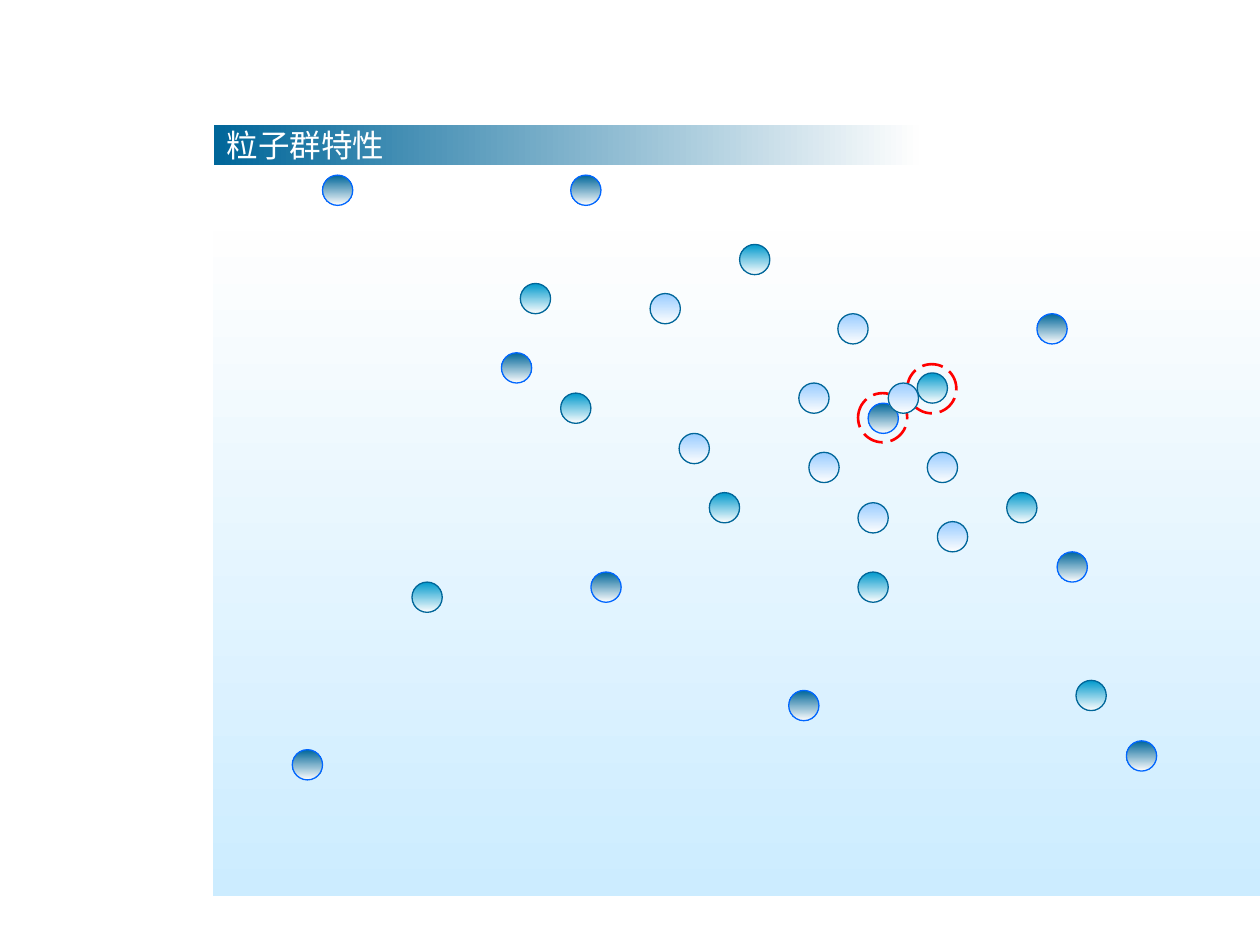
from dataclasses import dataclass

from pptx import Presentation
from pptx import util as u
from pptx.dml.color import RGBColor
from pptx.enum import dml, shapes, text

PX = 9144
DOT, RING = 24, 39


@dataclass(frozen=True)
class Theme:
    white: str = "FFFFFF"
    pale: str = "FEFEFE"
    sky: str = "CCECFF"
    navy: str = "006699"
    blue: str = "0066FF"
    teal: str = "0099CC"
    light: str = "99CCFF"
    red: str = "FF0000"
    font: str = "Montserrat"
    title_size: int = 18
    thin: float = 0.75
    thick: float = 1.5


class Painter:
    def __init__(self, slide, theme):
        self.slide = slide
        self.theme = theme

    def assign(self, target, values):
        for name, value in values.items():
            setattr(target, name, value)

    def shape(self, kind, box):
        item = self.slide.shapes.add_shape(kind, *(length * PX for length in box))
        item.shadow.inherit = False
        return item

    def shade(self, item, colors, angle):
        item.fill.gradient()
        item.fill.gradient_angle = angle
        for stop, color in zip(item.fill.gradient_stops, colors):
            stop.color.rgb = RGBColor.from_string(color)

    def outline(self, item, color, width):
        item.line.color.rgb = RGBColor.from_string(color)
        item.line.width = u.Pt(width)

    def panel(self, box, colors, angle):
        item = self.shape(shapes.MSO_SHAPE.RECTANGLE, box)
        self.shade(item, colors, angle)
        item.line.fill.background()
        return item

    def banner(self, box, wording):
        frame = self.panel(box, (self.theme.pale, self.theme.navy), 180).text_frame
        self.assign(frame, {
            "word_wrap": True,
            "vertical_anchor": text.MSO_ANCHOR.MIDDLE,
            "margin_left": 10 * PX,
            "margin_right": 10 * PX,
            "margin_top": 5 * PX,
            "margin_bottom": 5 * PX,
        })
        heading = frame.paragraphs[0]
        heading.alignment = text.PP_ALIGN.LEFT
        run = heading.add_run()
        run.text = wording
        self.assign(run.font, {"name": self.theme.font, "size": u.Pt(self.theme.title_size)})
        run.font.color.rgb = RGBColor.from_string(self.theme.white)

    def particles(self, spots, color, edge):
        for left, top in spots:
            item = self.shape(shapes.MSO_SHAPE.OVAL, (left, top, DOT, DOT))
            self.shade(item, (color, self.theme.pale), 270)
            self.outline(item, edge, self.theme.thin)

    def ring(self, left, top):
        item = self.shape(shapes.MSO_SHAPE.OVAL, (left, top, RING, RING))
        item.fill.background()
        self.outline(item, self.theme.red, self.theme.thick)
        item.line.dash_style = dml.MSO_LINE.LONG_DASH


OUTER_SWARM = [
    (256, 139), (453, 139), (469, 454), (626, 548), (839, 438),
    (689, 320), (232, 595), (398, 280), (823, 249), (894, 588),
]
MIDDLE_SWARM = [
    (413, 225), (327, 462), (563, 391), (681, 454), (445, 312),
    (587, 194), (728, 296), (799, 391), (854, 540),
]
INNER_SWARM = [
    (516, 233), (665, 249), (539, 344), (736, 359), (705, 304),
    (744, 414), (634, 304), (681, 399), (642, 359),
]


def main():
    deck = Presentation()
    deck.slide_width, deck.slide_height = 1000 * PX, 750 * PX
    theme = Theme()
    painter = Painter(deck.slides.add_slide(deck.slide_layouts[6]), theme)

    painter.panel((169, 183, 831, 528), (theme.pale, theme.sky), 270)
    painter.particles(OUTER_SWARM, theme.navy, theme.blue)
    painter.ring(681, 312)
    painter.particles(MIDDLE_SWARM, theme.teal, theme.navy)
    painter.ring(720, 289)
    painter.particles(INNER_SWARM, theme.light, theme.navy)
    painter.banner((170, 99, 559, 32), "粒子群特性")

    deck.save("out.pptx")


if __name__ == "__main__":
    main()
